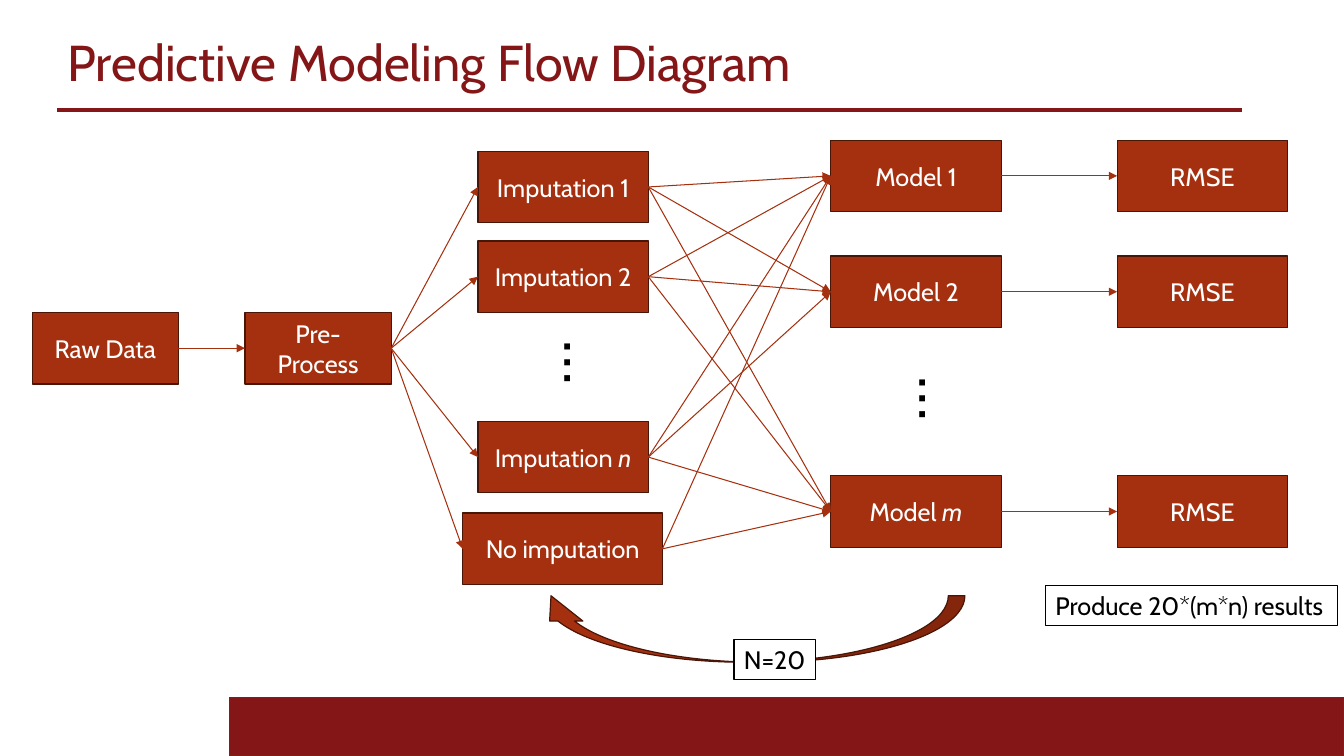
from lxml import etree
from pptx import Presentation
from pptx.dml.color import RGBColor as Rgb
from pptx.enum.shapes import MSO_CONNECTOR as Link, MSO_SHAPE as Shape
from pptx.enum.text import MSO_ANCHOR as Anchor, PP_ALIGN as Align
from pptx.oxml.ns import qn
from pptx.util import Pt

PX = 9144
HUES = {"band": "841617", "edge": "7A240B", "node": "A5300F",
        "rim": "481507", "ink": "000000", "paper": "FFFFFF"}
FONT = "Cabin"
LEFT, RIGHT = 1, 3


def hue(name):
    return Rgb.from_string(HUES[name])


def emu(*sizes):
    return [size * PX for size in sizes]


def apply(part, **form):
    for key, value in form.items():
        setattr(part, key, value)


def write(shape, runs, size, color, align=Align.LEFT, **form):
    frame = shape.text_frame
    apply(frame, **{"word_wrap": True, **form})
    para = frame.paragraphs[0]
    para.alignment = align
    for text, slant in runs:
        run = para.add_run()
        run.text = text
        apply(run.font, name=FONT, size=Pt(size), italic=slant)
        run.font.color.rgb = hue(color)
    return para


def draw(slide, box, fill, line, width=0.85, kind=Shape.RECTANGLE):
    shape = slide.shapes.add_shape(kind, *emu(*box))
    shape.shadow.inherit = False
    shape.fill.solid()
    shape.fill.fore_color.rgb = hue(fill)
    shape.line.color.rgb = hue(line)
    shape.line.width = Pt(width)
    return shape


def rule(slide, ends, color, width):
    line = slide.shapes.add_connector(Link.STRAIGHT, *emu(*ends))
    line.line.color.rgb = hue(color)
    line.line.width = Pt(width)
    etree.SubElement(line._element.spPr, qn("a:effectLst"))
    return line


def join(slide, start, stop):
    line = rule(slide, (0, 0, 0, 0), "node", 0.75)
    line.begin_connect(start, RIGHT)
    line.end_connect(stop, LEFT)
    etree.SubElement(line.line._get_or_add_ln(), qn("a:tailEnd"), type="triangle")


def node(slide, box, text, slant=""):
    shape = draw(slide, box, "node", "rim")
    runs = [(text, False)] + ([(slant, True)] if slant else [])
    write(shape, runs, 18, "paper", Align.CENTER, vertical_anchor=Anchor.MIDDLE)
    return shape


def stack(slide, left, width, rows):
    return [node(slide, (left, top, width, 71), *words) for top, *words in rows]


def dots(slide, left, top):
    box = slide.shapes.add_textbox(*emu(left, top, 53, 91))
    box.rotation = 270
    write(box, [("…", False)], 48, "ink", Align.CENTER, word_wrap=False)


def note(slide, box, text):
    shape = draw(slide, box, "paper", "ink", 0.75)
    write(shape, [(text, False)], 18, "ink", vertical_anchor=Anchor.TOP,
          word_wrap=False)


def header(slide, left, top, width):
    title = slide.shapes.title
    apply(title, **dict(zip(("left", "top", "width", "height"),
                            emu(left, top, width, 71))))
    para = write(title, [("Predictive Modeling Flow Diagram", False)], 36,
                 "band", vertical_anchor=Anchor.MIDDLE)
    apply(para, line_spacing=0.9)
    rule(slide, (left, top + 80, left + width + 4, top + 80), "band", 2.5)


def flow(slide, left, top):
    raw, prep = [node(slide, (left + step, top + 171, 145, 71), text)
                 for step, text in ((0, "Raw Data"), (211, "Pre-Process"))]
    fills = stack(slide, left + 442, 169, [
        (top + 11, "Imputation 1"), (top + 100, "Imputation 2"),
        (top + 279, "Imputation ", "n")])
    fills += stack(slide, left + 427, 198, [(top + 370, "No imputation")])
    rows = [top, top + 115, top + 333]
    names = [("Model 1",), ("Model 2",), ("Model ", "m")]
    models = stack(slide, left + 792, 169,
                   [(row, *name) for row, name in zip(rows, names)])
    scores = stack(slide, left + 1076, 169, [(row, "RMSE") for row in rows])
    dots(slide, left + 481, top + 181)
    dots(slide, left + 833, top + 217)

    join(slide, raw, prep)
    for fill in fills:
        join(slide, prep, fill)
        for model in models:
            if (fill, model) != (fills[-1], models[1]):
                join(slide, fill, model)
    for model, score in zip(models, scores):
        join(slide, model, score)


def loop(slide, left, top):
    arrow = draw(slide, (left, top, 427, 66), "node", "rim",
                 kind=Shape.CURVED_DOWN_ARROW)
    arrow.rotation = 180
    for index, value in enumerate((0.25, 0.5, 0.38)):
        arrow.adjustments[index] = value
    note(slide, (left + 198, top + 43, 81, 40), "N=20")


def main():
    deck = Presentation()
    apply(deck, slide_width=1333 * PX, slide_height=750 * PX)
    slide = deck.slides.add_slide(deck.slide_layouts[5])
    draw(slide, (228, 692, 1105, 58), "band", "edge")
    header(slide, 57, 29, 1171)
    flow(slide, 32, 139)
    loop(slide, 530, 591)
    note(slide, (1037, 581, 290, 40), "Produce 20*(m*n) results")
    deck.save("out.pptx")


if __name__ == "__main__":
    main()
